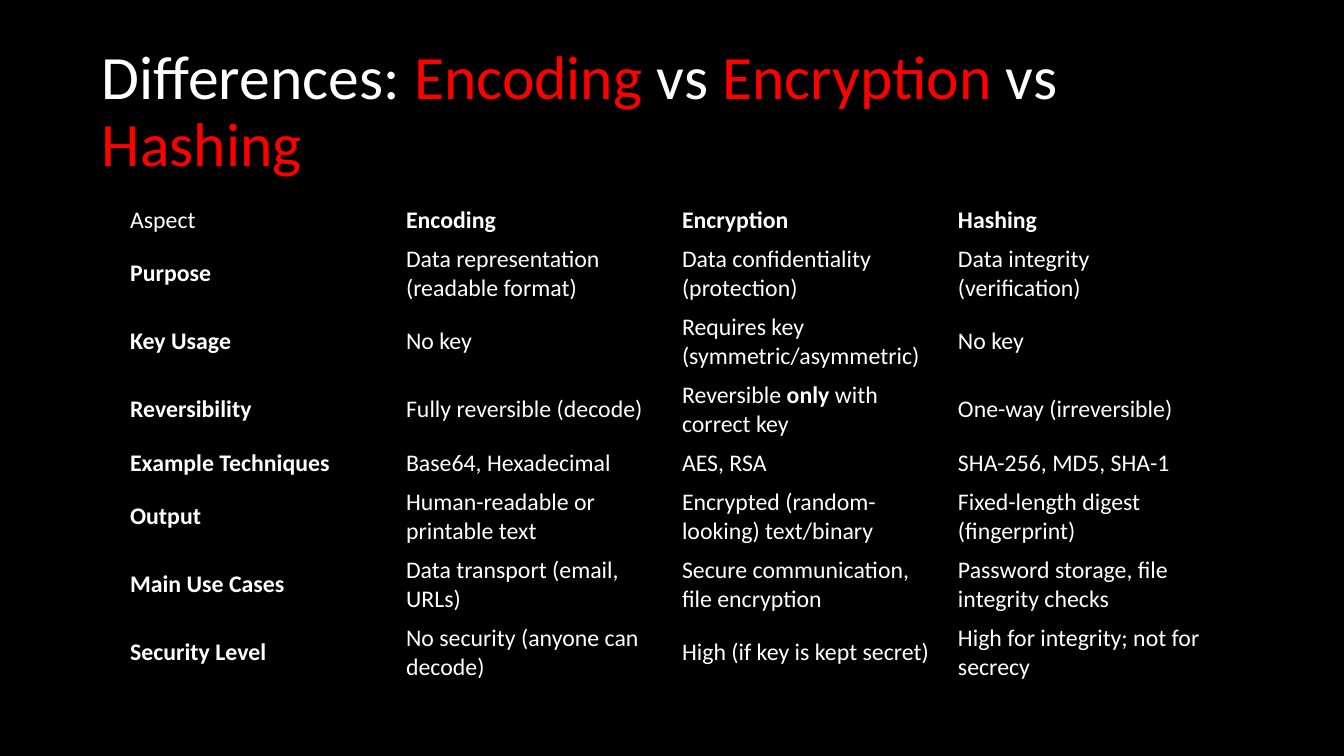
from pptx import Presentation
from pptx import util as u
from pptx.dml.color import RGBColor
from pptx.enum import text

PX = 914400 / 100.8
BLACK, WHITE, RED = "000000", "FFFFFF", "FF0000"

ROWS = [
    ("Aspect", "Encoding", "Encryption", "Hashing"),
    ("Purpose", "Data representation (readable format)",
     "Data confidentiality (protection)", "Data integrity (verification)"),
    ("Key Usage", "No key", "Requires key (symmetric/asymmetric)", "No key"),
    ("Reversibility", "Fully reversible (decode)",
     "Reversible *only* with correct key", "One-way (irreversible)"),
    ("Example Techniques", "Base64, Hexadecimal", "AES, RSA", "SHA-256, MD5, SHA-1"),
    ("Output", "Human-readable or printable text",
     "Encrypted (random-looking) text/binary", "Fixed-length digest (fingerprint)"),
    ("Main Use Cases", "Data transport (email, URLs)",
     "Secure communication, file encryption", "Password storage, file integrity checks"),
    ("Security Level", "No security (anyone can decode)",
     "High (if key is kept secret)", "High for integrity; not for secrecy"),
]
SINGLE_LINE_ROWS = {"Aspect", "Example Techniques"}


def px(length):
    return u.Emu(round(length * PX))


def color(value):
    return RGBColor.from_string(value)


class SlideBuilder:
    font_name = "Calibri"
    no_grid_style = "{2D5ABB26-0587-4C30-8999-92F81FD0307C}"

    def __init__(self, presentation, background):
        self.slide = presentation.slides.add_slide(presentation.slide_layouts[6])
        fill = self.slide.background.fill
        fill.solid()
        fill.fore_color.rgb = color(background)

    def add_text(self, paragraph, content, size, bold=False, accent=None):
        """Parts between asterisks take the accent colour, or bold if there is none."""
        font = paragraph.font
        font.name, font.size, font.bold = self.font_name, u.Pt(size), bold
        font.color.rgb = color(WHITE)
        for index, part in enumerate(content.split("*")):
            if not part:
                continue
            run = paragraph.add_run()
            run.text = part
            if index % 2 and accent:
                run.font.color.rgb = color(accent)
            elif index % 2:
                run.font.bold = True

    def title(self, content, left, top, width, height):
        box = self.slide.shapes.add_textbox(px(left), px(top), px(width), px(height))
        frame = box.text_frame
        frame.word_wrap = True
        frame.vertical_anchor = text.MSO_ANCHOR.MIDDLE
        paragraph = frame.paragraphs[0]
        paragraph.line_spacing = 0.9
        self.add_text(paragraph, content, 44, accent=RED)

    def table(self, rows, left, top, column_width, heights):
        """The header row and first column are bold, except their shared corner."""
        columns = len(rows[0])
        table = self.slide.shapes.add_table(
            len(rows), columns, px(left), px(top),
            px(column_width * columns), px(sum(heights))).table
        table.first_row = table.horz_banding = False
        table._tbl.tblPr[0].text = self.no_grid_style
        for column in table.columns:
            column.width = px(column_width)
        for row_index, (values, height) in enumerate(zip(rows, heights)):
            table.rows[row_index].height = px(height)
            for column_index, value in enumerate(values):
                cell = table.cell(row_index, column_index)
                cell.fill.background()
                cell.vertical_anchor = text.MSO_ANCHOR.MIDDLE
                bold = (row_index == 0) != (column_index == 0)
                self.add_text(cell.text_frame.paragraphs[0], value, 17, bold)


def main():
    presentation = Presentation()
    presentation.slide_width, presentation.slide_height = px(1344), px(756)
    builder = SlideBuilder(presentation, BLACK)
    builder.title("Differences: *Encoding* vs *Encryption* vs *Hashing*", 92, 40, 1160, 146)
    heights = [38 if row[0] in SINGLE_LINE_ROWS else 68 for row in ROWS]
    builder.table(ROWS, 120, 201, 276, heights)
    presentation.save("out.pptx")


if __name__ == "__main__":
    main()
